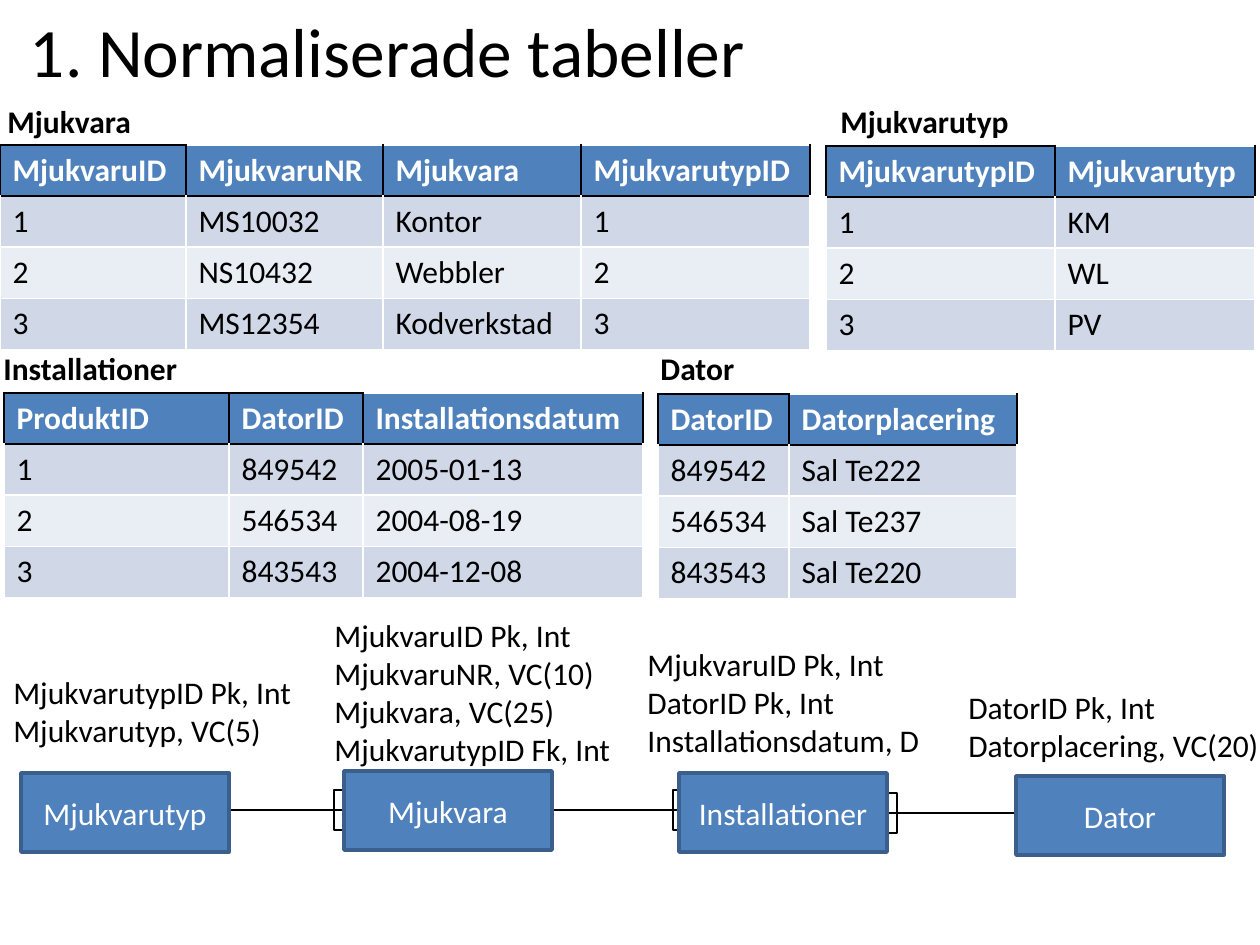
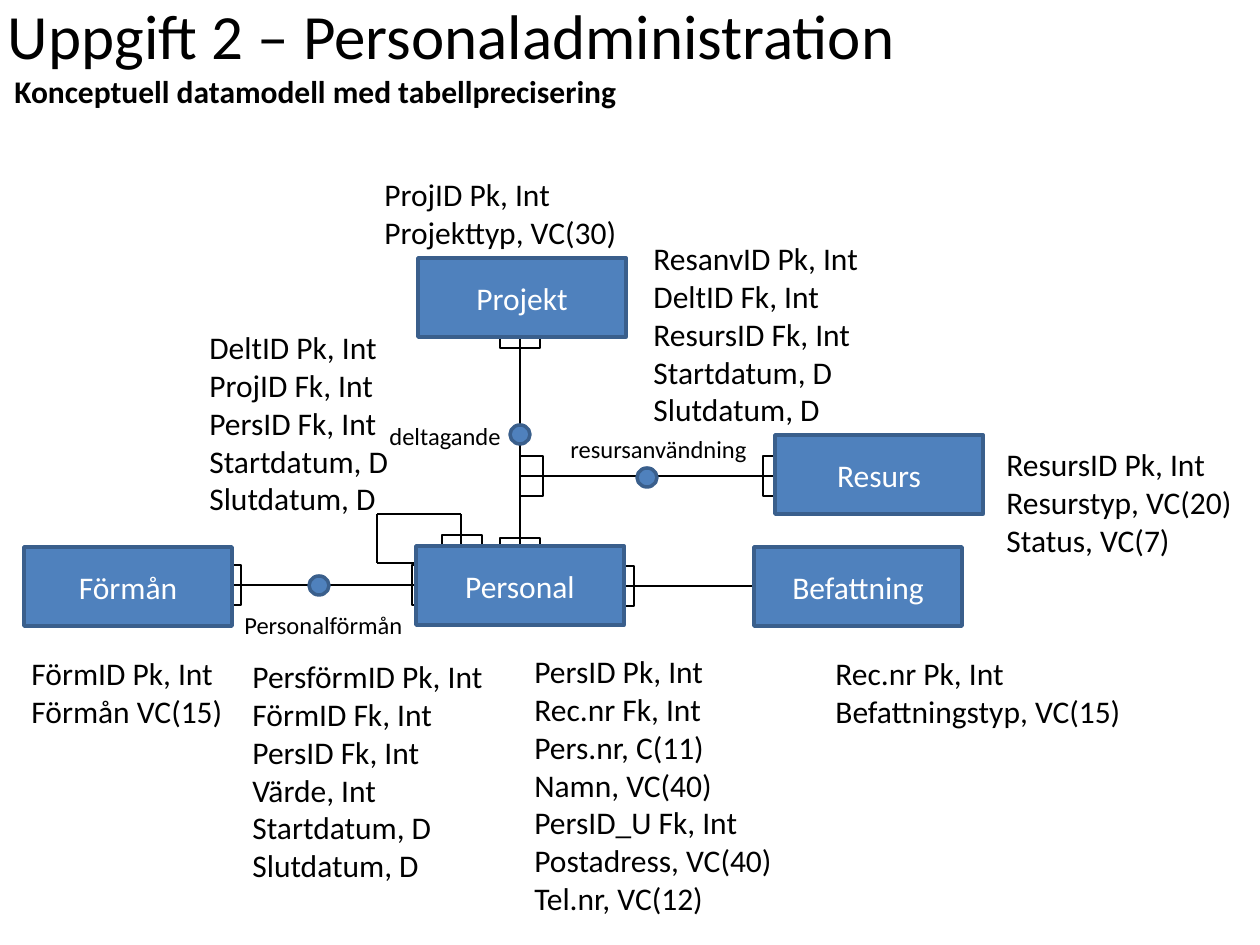
from lxml import etree
from pptx import Presentation
from pptx import util as u
from pptx.dml.color import RGBColor
from pptx.enum import shapes, text
from pptx.oxml import ns

BLACK = RGBColor(0x00, 0x00, 0x00)
WHITE = RGBColor(0xFF, 0xFF, 0xFF)
BLUE = RGBColor(0x4F, 0x81, 0xBD)
DARK_BLUE = RGBColor(0x3A, 0x5F, 0x8C)
BAND_DARK = RGBColor(0xD0, 0xD8, 0xE8)
BAND_LIGHT = RGBColor(0xE9, 0xED, 0xF4)

FONT = "Calibri"
BODY_SIZE = 18
LABEL_SIZE = 14
ROW_HEIGHT = 51
BOX_WIDTH, BOX_HEIGHT = 208, 79
EMU_PER_PIXEL = 914400 / 126


def px(*lengths):
    return [u.Emu(round(length * EMU_PER_PIXEL)) for length in lengths]


class Deck:
    def __init__(self):
        self.presentation = Presentation()
        self.presentation.slide_width, self.presentation.slide_height = px(1260, 945)
        self.slide = None

    def format_text(self, frame, size=BODY_SIZE, color=BLACK, bold=False, align=None):
        for paragraph in frame.paragraphs:
            paragraph.alignment = align
            for run in paragraph.runs:
                run.font.name = FONT
                run.font.size = u.Pt(size)
                run.font.bold = bold
                run.font.color.rgb = color

    def new_slide(self, title, left, top, width, height, size):
        layout = self.presentation.slide_layouts[5]
        self.slide = self.presentation.slides.add_slide(layout)
        shape = self.slide.shapes.title
        shape.left, shape.top, shape.width, shape.height = px(left, top, width, height)
        frame = shape.text_frame
        frame.text = title
        frame.auto_size = text.MSO_AUTO_SIZE.NONE
        frame.vertical_anchor = text.MSO_ANCHOR.MIDDLE
        self.format_text(frame, size, align=text.PP_ALIGN.CENTER)

    def note(self, left, top, width, lines, size=BODY_SIZE, bold=False):
        count = lines.count("\n") + 1
        height = 13 + round(2.12 * size * count)
        frame = self.slide.shapes.add_textbox(*px(left, top, width, height)).text_frame
        frame.word_wrap = True
        frame.text = lines
        self.format_text(frame, size, bold=bold)

    def filled_shape(self, kind, left, top, width, height):
        shape = self.slide.shapes.add_shape(kind, *px(left, top, width, height))
        shape.shadow.inherit = False
        shape.fill.solid()
        shape.fill.fore_color.rgb = BLUE
        shape.line.color.rgb = DARK_BLUE
        shape.line.width = u.Pt(2)
        return shape

    def entity(self, left, top, name):
        shape = self.filled_shape(shapes.MSO_SHAPE.RECTANGLE, left, top, BOX_WIDTH, BOX_HEIGHT)
        frame = shape.text_frame
        frame.text = name
        frame.vertical_anchor = text.MSO_ANCHOR.MIDDLE
        self.format_text(frame, color=WHITE, align=text.PP_ALIGN.CENTER)

    def dot(self, left, top):
        self.filled_shape(shapes.MSO_SHAPE.FLOWCHART_CONNECTOR, left, top, 20, 19)

    def link(self, *ends):
        connector = self.slide.shapes.add_connector(shapes.MSO_CONNECTOR.STRAIGHT, *px(*ends))
        connector.line.color.rgb = BLACK
        connector.line.width = u.Pt(0.75)
        properties = connector._element.spPr
        etree.SubElement(properties, ns.qn("a:effectLst"))

    def fork(self, left, top, width, height):
        shape = self.slide.shapes.add_shape(
            shapes.MSO_SHAPE.RECTANGLE, *px(left, top, width, height))
        shape.shadow.inherit = False
        shape.fill.background()
        shape.line.color.rgb = BLACK
        shape.line.width = u.Pt(0.75)

    def border(self, cell, colors):
        properties = cell._tc.get_or_add_tcPr()
        for side, color in zip("LRTB", colors):
            line = etree.SubElement(properties, ns.qn(f"a:ln{side}"), w=str(u.Pt(1)))
            fill = etree.SubElement(line, ns.qn("a:solidFill"))
            etree.SubElement(fill, ns.qn("a:srgbClr"), val=str(color))

    def table(self, left, top, widths, rows, keys=1):
        frame = self.slide.shapes.add_table(
            len(rows), len(widths), *px(left, top, sum(widths), ROW_HEIGHT * len(rows)))
        table = frame.table
        for column, width in zip(table.columns, px(*widths)):
            column.width = width
        for r, values in enumerate(rows):
            header = r == 0
            for c, value in enumerate(values):
                cell = table.cell(r, c)
                cell.text = value
                self.format_text(cell.text_frame, color=WHITE if header else BLACK, bold=header)
                if header:
                    self.border(cell, [BLACK, BLACK, BLACK if c < keys else WHITE, BLACK])
                else:
                    self.border(cell, [WHITE, WHITE, BLACK if r == 1 else WHITE, WHITE])
                cell.fill.solid()
                band = BAND_DARK if r % 2 else BAND_LIGHT
                cell.fill.fore_color.rgb = BLUE if header else band


deck = Deck()

deck.new_slide("1. Normaliserade tabeller", -5, 1, 785, 97, 39.6)
deck.table(0, 145, [186, 197, 198, 229], [
    ["MjukvaruID", "MjukvaruNR", "Mjukvara", "MjukvarutypID"],
    ["1", "MS10032", "Kontor", "1"],
    ["2", "NS10432", "Webbler", "2"],
    ["3", "MS12354", "Kodverkstad", "3"],
])
deck.table(826, 146, [229, 200], [
    ["MjukvarutypID", "Mjukvarutyp"],
    ["1", "KM"],
    ["2", "WL"],
    ["3", "PV"],
])
deck.table(4, 393, [225, 134, 280], [
    ["ProduktID", "DatorID", "Installationsdatum"],
    ["1", "849542", "2005-01-13"],
    ["2", "546534", "2004-08-19"],
    ["3", "843543", "2004-12-08"],
], keys=2)
deck.table(658, 394, [131, 228], [
    ["DatorID", "Datorplacering"],
    ["849542", "Sal Te222"],
    ["546534", "Sal Te237"],
    ["843543", "Sal Te220"],
])
for left, top, width, caption in [
    (-5, 96, 163, "Mjukvara"),
    (828, 96, 198, "Mjukvarutyp"),
    (-9, 343, 209, "Installationer"),
    (648, 343, 160, "Dator"),
]:
    deck.note(left, top, width, caption, bold=True)
for left, top, width, lines in [
    (1, 667, 312, "MjukvarutypID Pk, Int\nMjukvarutyp, VC(5)"),
    (322, 610, 308,
     "MjukvaruID Pk, Int\nMjukvaruNR, VC(10)\nMjukvara, VC(25)\nMjukvarutypID Fk, Int"),
    (635, 639, 308, "MjukvaruID Pk, Int\nDatorID Pk, Int\nInstallationsdatum, D"),
    (956, 682, 329, "DatorID Pk, Int\nDatorplacering, VC(20)"),
]:
    deck.note(left, top, width, lines)
for ends in [(200, 810, 345, 810), (553, 810, 683, 810), (1017, 813, 887, 813)]:
    deck.link(*ends)
for left, top in [(334, 790), (673, 790), (887, 793)]:
    deck.fork(left, top, 10, 40)
for left, top, name in [
    (21, 773, "Mjukvarutyp"),
    (344, 771, "Mjukvara"),
    (679, 773, "Installationer"),
    (1016, 776, "Dator"),
]:
    deck.entity(left, top, name)

deck.new_slide("Uppgift 2 – Personaladministration", -89, -14, 1081, 96, 36)
deck.note(2, 66, 668, "Konceptuell datamodell med tabellprecisering", bold=True)
for ends in [
    (753, 586, 624, 586),
    (520, 466, 520, 338),
    (520, 418, 520, 548),
    (631, 476, 520, 476),
    (619, 476, 775, 476),
    (461, 514, 377, 514),
    (377, 514, 377, 563),
    (418, 563, 377, 563),
    (461, 514, 461, 546),
    (309, 585, 420, 585),
    (349, 585, 232, 585),
]:
    deck.link(*ends)
for bounds in [
    (624, 566, 10, 40),
    (500, 338, 40, 10),
    (500, 538, 40, 10),
    (520, 456, 23, 40),
    (763, 456, 11, 40),
    (442, 535, 40, 10),
    (412, 565, 9, 40),
    (232, 565, 9, 40),
]:
    deck.fork(*bounds)
for left, top, name in [
    (418, 258, "Projekt"),
    (775, 435, "Resurs"),
    (24, 547, "Förmån"),
    (416, 546, "Personal"),
    (754, 547, "Befattning"),
]:
    deck.entity(left, top, name)
for left, top in [(510, 425), (637, 468), (309, 576)]:
    deck.dot(left, top)
for left, top, width, label in [
    (377, 415, 146, "deltagande"),
    (558, 428, 213, "resursanvändning"),
    (232, 604, 200, "Personalförmån"),
]:
    deck.note(left, top, width, label, size=LABEL_SIZE)
for left, top, width, lines in [
    (372, 169, 273, "ProjID Pk, Int\nProjekttyp, VC(30)"),
    (197, 322, 252,
     "DeltID Pk, Int\nProjID Fk, Int\nPersID Fk, Int\nStartdatum, D\nSlutdatum, D"),
    (641, 233, 256,
     "ResanvID Pk, Int\nDeltID Fk, Int\nResursID Fk, Int\nStartdatum, D\nSlutdatum, D"),
    (994, 439, 258, "ResursID Pk, Int\nResurstyp, VC(20)\nStatus, VC(7)"),
    (19, 648, 223, "FörmID Pk, Int\nFörmån VC(15)"),
    (240, 651, 271,
     "PersförmID Pk, Int\nFörmID Fk, Int\nPersID Fk, Int\nVärde, Int\n"
     "Startdatum, D\nSlutdatum, D"),
    (522, 646, 292,
     "PersID Pk, Int\nRec.nr Fk, Int\nPers.nr, C(11)\nNamn, VC(40)\n"
     "PersID_U Fk, Int\nPostadress, VC(40)\nTel.nr, VC(12)"),
    (823, 648, 320, "Rec.nr Pk, Int\nBefattningstyp, VC(15)"),
]:
    deck.note(left, top, width, lines)

deck.presentation.save("out.pptx")
